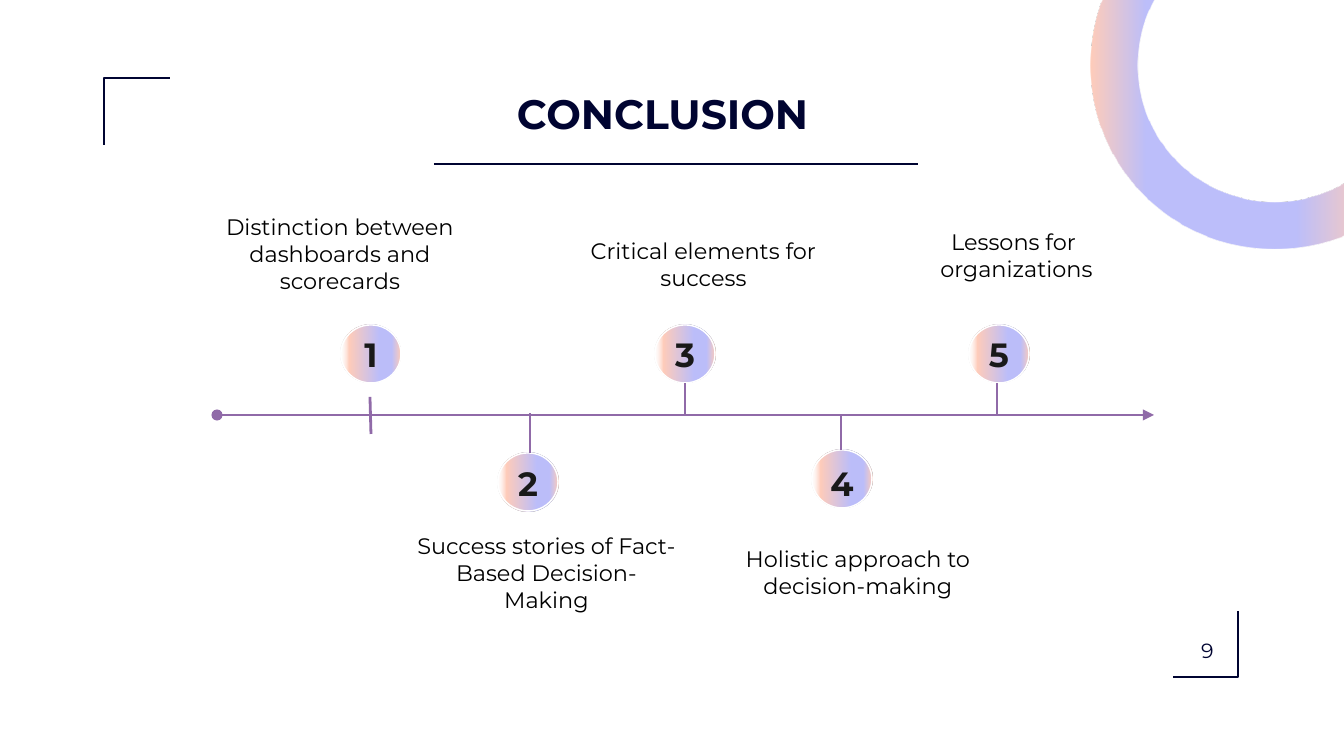
from dataclasses import dataclass

from lxml import etree
from pptx import Presentation
from pptx.dml.color import RGBColor
from pptx.enum.shapes import MSO_CONNECTOR as Connector, MSO_SHAPE as Shape
from pptx.enum.text import MSO_ANCHOR as Anchor, PP_ALIGN as Align
from pptx.oxml.ns import qn
from pptx.util import Emu, Pt

PX = 914400 / 134.4
FONT = "Montserrat"
COLORS = {
    "navy": "000431",
    "purple": "906AA8",
    "peach": "FFCCBA",
    "lavender": "BCBEFA",
    "white": "FFFFFF",
    "black": "000000",
    "number": "191919",
}
Box = tuple[int, int, int, int]
Point = tuple[int, int]


@dataclass(frozen=True)
class Milestone:
    label: str
    label_box: Box
    badge_top: int
    number_top: int
    stem: tuple[Point, Point]
    spacing: float = 1.0


BADGE_LEFT, BADGE_STEP, BADGE_WIDTH, BADGE_HEIGHT = 341, 157, 60, 58
NUMBER_HEIGHT = 36
AXIS_Y = 415
MILESTONES = [
    Milestone("Distinction between dashboards and scorecards",
              (190, 200, 300, 112), 325, 336, ((371, 434), (370, 397))),
    Milestone("Success stories of Fact-Based Decision-Making",
              (402, 519, 289, 103), 453, 462, ((530, 453), (530, 413)), 1.15),
    Milestone("Critical elements for success",
              (559, 224, 289, 69), 325, 336, ((685, AXIS_Y), (685, 383))),
    Milestone("Holistic approach to decision-making",
              (708, 532, 300, 82), 450, 462, ((841, 450), (841, AXIS_Y)), 1.15),
    Milestone("Lessons for \norganizations",
              (884, 215, 265, 82), 325, 336, ((997, AXIS_Y), (997, 383))),
]
# Gradient stops: position and opacity in percent
RING_STOPS = [(0, "peach", 100), (15, "lavender", 100), (56, "lavender", 100),
              (76, "peach", 100), (100, "white", 16)]
BADGE_STOPS = [(0, "peach", 100), (15, "lavender", 100), (36, "lavender", 100),
               (85, "peach", 100), (100, "white", 16)]


def px(value: int) -> Emu:
    return Emu(round(value * PX))


def rgb(name: str) -> RGBColor:
    return RGBColor.from_string(COLORS[name])


def add_text(slide, text: str, box: Box, *, size: int, color: str = "black",
             bold: bool = False, align=Align.CENTER, anchor=Anchor.TOP,
             spacing: float = 1.0) -> None:
    frame = slide.shapes.add_textbox(*map(px, box)).text_frame
    frame.word_wrap = True
    frame.vertical_anchor = anchor
    frame.margin_left = frame.margin_right = Emu(91440)
    frame.margin_top = frame.margin_bottom = Emu(91440)
    frame.text = text
    for paragraph in frame.paragraphs:
        paragraph.alignment = align
        paragraph.line_spacing = spacing
        for run in paragraph.runs:
            run.font.name = FONT
            run.font.size = Pt(size)
            run.font.bold = bold
            run.font.color.rgb = rgb(color)


def add_line(slide, start: Point, end: Point, color: str):
    line = slide.shapes.add_connector(
        Connector.STRAIGHT, *map(px, start), *map(px, end))
    line.line.color.rgb = rgb(color)
    line.line.width = Pt(1.5)
    etree.SubElement(line._element.spPr, qn("a:effectLst"))
    return line


def add_bracket(slide, points: list[Point]) -> None:
    builder = slide.shapes.build_freeform(*points[0], scale=PX)
    builder.add_line_segments(points[1:], close=False)
    bracket = builder.convert_to_shape()
    bracket.shadow.inherit = False
    bracket.fill.background()
    bracket.line.color.rgb = rgb("navy")
    bracket.line.width = Pt(1.5)


def add_gradient_shape(slide, kind, box: Box, stops: list, angle: int):
    shape = slide.shapes.add_shape(kind, *map(px, box))
    shape.shadow.inherit = False
    shape.line.fill.background()
    shape.fill.gradient()
    gradient = shape._element.spPr.find(qn("a:gradFill"))
    for child in list(gradient):
        gradient.remove(child)
    stop_list = etree.SubElement(gradient, qn("a:gsLst"))
    for position, color, opacity in stops:
        stop = etree.SubElement(stop_list, qn("a:gs"), pos=str(position * 1000))
        fill = etree.SubElement(stop, qn("a:srgbClr"), val=COLORS[color])
        if opacity < 100:
            etree.SubElement(fill, qn("a:alpha"), val=str(opacity * 1000))
    etree.SubElement(gradient, qn("a:lin"), ang=str(angle * 60000), scaled="0")
    return shape


def add_badge(slide, left: int, top: int) -> None:
    badge = add_gradient_shape(
        slide, Shape.OVAL, (left, top, BADGE_WIDTH, BADGE_HEIGHT), BADGE_STOPS, 180)
    badge.line.color.rgb = rgb("white")
    badge.line.width = Pt(0.75)


def add_axis(slide) -> None:
    axis = add_line(slide, (217, AXIS_Y), (1154, AXIS_Y), "purple")
    outline = axis._element.spPr.find(qn("a:ln"))
    etree.SubElement(outline, qn("a:headEnd"), type="oval")
    etree.SubElement(outline, qn("a:tailEnd"), type="triangle")


def main() -> None:
    presentation = Presentation()
    presentation.slide_width, presentation.slide_height = px(1344), px(756)
    slide = presentation.slides.add_slide(presentation.slide_layouts[6])

    # Frame and title
    add_bracket(slide, [(1238, 611), (1238, 677), (1173, 677)])
    add_bracket(slide, [(104, 145), (104, 78), (170, 78)])
    add_line(slide, (434, 164), (918, 164), "navy")
    add_text(slide, "CONCLUSION", (496, 71, 333, 85), size=22, color="navy",
             bold=True, anchor=Anchor.MIDDLE)
    ring = add_gradient_shape(
        slide, Shape.DONUT, (1091, -118, 367, 367), RING_STOPS, 0)
    ring.adjustments[0] = 0.128

    # Timeline
    lefts = [BADGE_LEFT + BADGE_STEP * i for i in range(len(MILESTONES))]
    for left, milestone in zip(lefts, MILESTONES):
        add_badge(slide, left, milestone.badge_top)
        add_line(slide, *milestone.stem, "purple")
    add_axis(slide)

    # Numbers and labels
    for number, (left, milestone) in enumerate(zip(lefts, MILESTONES), 1):
        add_text(slide, str(number),
                 (left, milestone.number_top, BADGE_WIDTH, NUMBER_HEIGHT),
                 size=18, color="number", bold=True, anchor=Anchor.MIDDLE,
                 spacing=milestone.spacing)
        add_text(slide, milestone.label, milestone.label_box, size=12)

    # Page number
    add_text(slide, "9", (1188, 626, 63, 52), size=11, color="navy",
             align=Align.LEFT)
    presentation.save("out.pptx")


if __name__ == "__main__":
    main()
